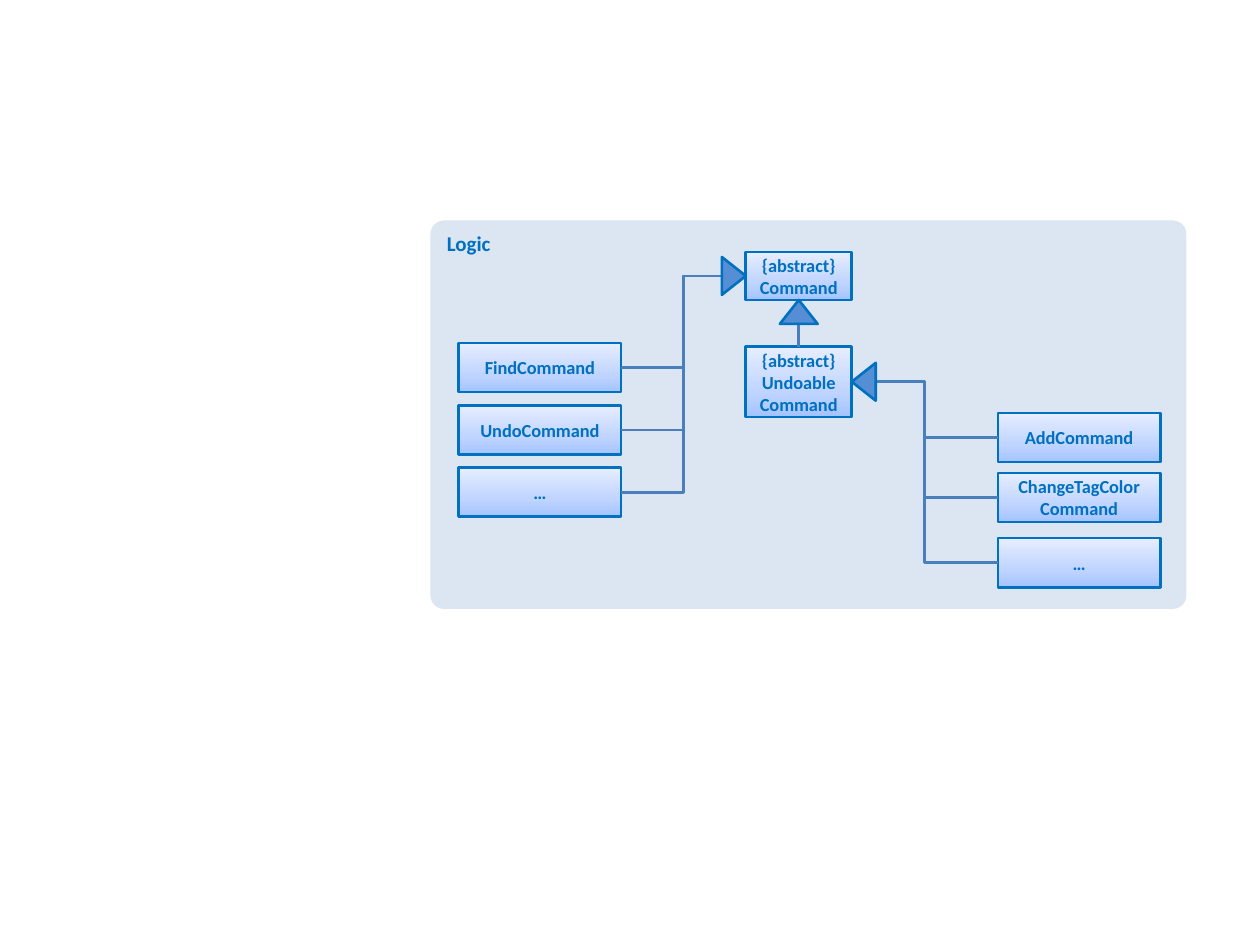
from copy import deepcopy

from lxml.etree import SubElement
from pptx import Presentation
from pptx.dml.color import RGBColor
from pptx.enum.shapes import MSO_CONNECTOR as CONN, MSO_SHAPE as SHAPE
from pptx.enum.text import MSO_ANCHOR as ANCHOR, PP_ALIGN as ALIGN
from pptx.oxml.ns import qn
from pptx.util import Pt

BLUE = RGBColor(0x00, 0x70, 0xC0)
LINK = RGBColor(0x4B, 0x7E, 0xBC)
ARROW = RGBColor(0x55, 0x8E, 0xD5)
PANEL = RGBColor(0xDC, 0xE6, 0xF2)
GRADIENT = [
    (0, RGBColor(0xA4, 0xC4, 0xFF)),
    (0.35, RGBColor(0xBF, 0xD4, 0xFF)),
    (1, RGBColor(0xE6, 0xEE, 0xFF)),
]
TOP, LEFT, BOTTOM, RIGHT = range(4)

PARENT_X, PARENT_W = 426.2, 60.5
CHILD_W, CHILD_H = 92.9, 28.1
ARROW_W, ARROW_H = 21.6, 13.7

COMMAND = (["{abstract}\vCommand"], 144, 27.4)
UNDOABLE = (["{abstract}\vUndoable", "Command"], 198, 40.3)
PLAIN_X = 262.1
PLAIN = [(["FindCommand"], 196), (["UndoCommand"], 231.6), (["…"], 267.2)]
UNDO_X = 570.2
UNDO = [(["AddCommand"], 236), (["ChangeTagColor", "Command"], 270.2), (["…"], 307.5)]


def write(shape, paragraphs, size=10.5, align=ALIGN.CENTER, anchor=ANCHOR.MIDDLE):
    tf = shape.text_frame
    tf.word_wrap = True
    tf.vertical_anchor = anchor
    for i, text in enumerate(paragraphs):
        p = tf.paragraphs[0] if i == 0 else tf.add_paragraph()
        p.text = text
        p.alignment = align
        for r in p.runs:
            r.font.name = "Calibri"
            r.font.size = Pt(size)
            r.font.bold = True
            r.font.color.rgb = BLUE


def add_shape(s, kind, x, y, w, h, fill=None, line=None):
    sp = s.shapes.add_shape(kind, Pt(x), Pt(y), Pt(w), Pt(h))
    sp.shadow.inherit = False
    if fill:
        sp.fill.solid()
        sp.fill.fore_color.rgb = fill
    if line:
        sp.line.color.rgb = line
        sp.line.width = Pt(1.5)
    else:
        sp.line.fill.background()
    return sp


def add_class(s, text, x, y, w, h):
    sp = add_shape(s, SHAPE.RECTANGLE, x, y, w, h, line=BLUE)
    sp.fill.gradient()
    sp.fill.gradient_angle = 90
    stops = sp.element.spPr.find(qn("a:gradFill")).find(qn("a:gsLst"))
    stops.append(deepcopy(stops[0]))
    for stop, (position, color) in zip(sp.fill.gradient_stops, GRADIENT):
        stop.position = position
        stop.color.rgb = color
    write(sp, text)
    return sp


def connect(s, parent, parent_side, child, child_side, kind=CONN.ELBOW):
    c = s.shapes.add_connector(kind, 0, 0, 0, 0)
    c.begin_connect(parent, parent_side)
    c.end_connect(child, child_side)
    c.line.color.rgb = LINK
    c.line.width = Pt(1.5)
    SubElement(c.element.spPr, qn("a:effectLst"))


def add_arrow(s, tip_x, tip_y, dx, dy, rotation):
    cx, cy = tip_x + dx * ARROW_H / 2, tip_y + dy * ARROW_H / 2
    sp = add_shape(s, SHAPE.ISOSCELES_TRIANGLE, cx - ARROW_W / 2, cy - ARROW_H / 2,
                   ARROW_W, ARROW_H, ARROW, BLUE)
    sp.rotation = rotation


def main():
    prs = Presentation()
    prs.slide_width, prs.slide_height = Pt(720), Pt(540)
    s = prs.slides.add_slide(prs.slide_layouts[6])

    panel = add_shape(s, SHAPE.ROUNDED_RECTANGLE, 246, 126, 432, 222, PANEL)
    panel.adjustments[0] = 0.035
    write(panel, ["Logic"], size=12, align=ALIGN.LEFT, anchor=ANCHOR.TOP)

    command, undoable = [add_class(s, text, PARENT_X, y, PARENT_W, h)
                         for text, y, h in (COMMAND, UNDOABLE)]
    connect(s, command, BOTTOM, undoable, TOP, CONN.STRAIGHT)

    families = [
        (command, LEFT, PLAIN, PLAIN_X, RIGHT),
        (undoable, RIGHT, UNDO, UNDO_X, LEFT),
    ]
    for parent, parent_side, children, x, child_side in families:
        for text, y in children:
            child = add_class(s, text, x, y, CHILD_W, CHILD_H)
            connect(s, parent, parent_side, child, child_side)

    _, command_y, command_h = COMMAND
    _, undoable_y, undoable_h = UNDOABLE
    add_arrow(s, PARENT_X + PARENT_W / 2, command_y + command_h, 0, 1, 0)
    add_arrow(s, PARENT_X, command_y + command_h / 2, -1, 0, 90)
    add_arrow(s, PARENT_X + PARENT_W, undoable_y + undoable_h / 2, 1, 0, 270)

    prs.save("out.pptx")


if __name__ == "__main__":
    main()
